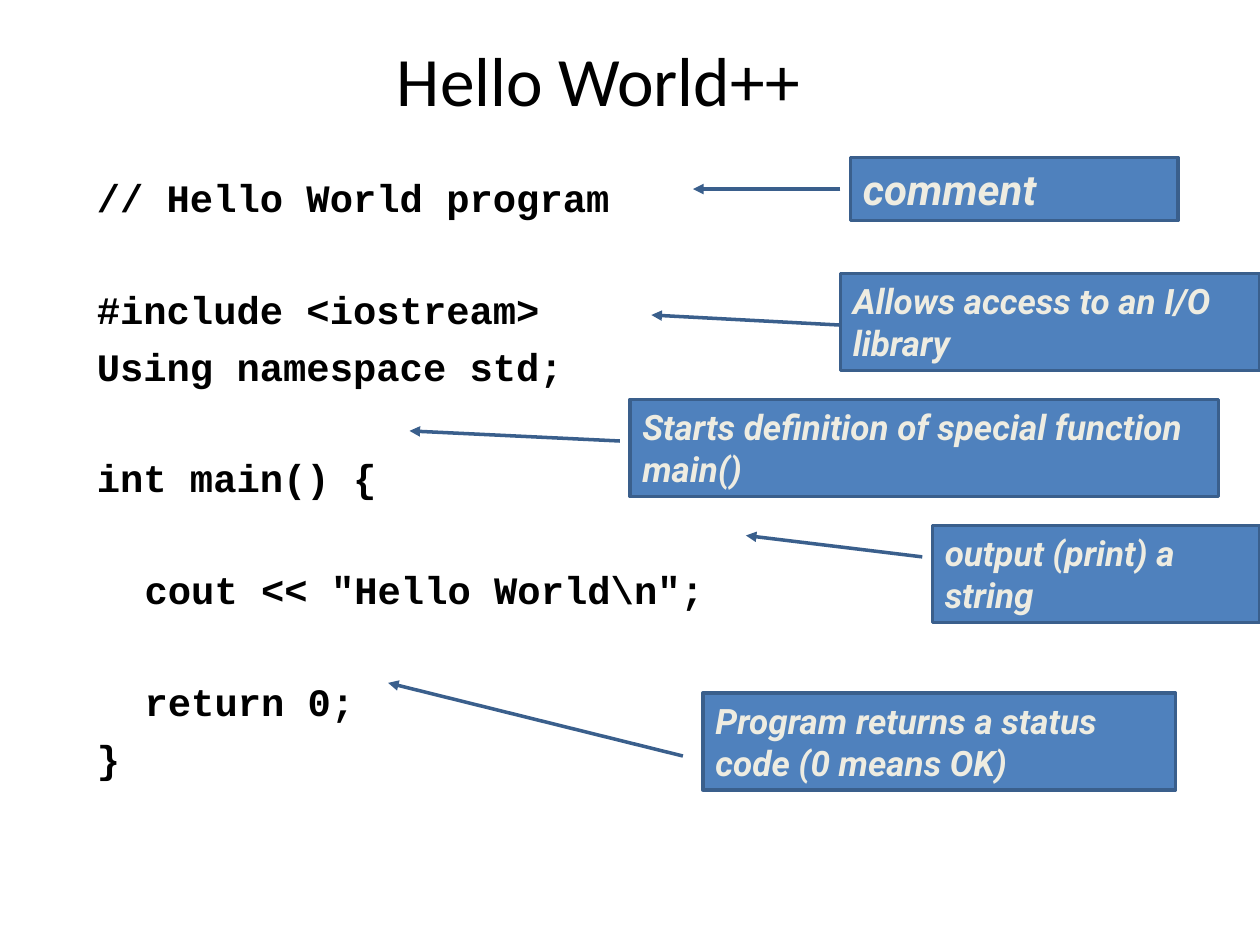
import dataclasses

import pptx
import pptx.dml.color
import pptx.enum.shapes
import pptx.enum.text
import pptx.oxml
import pptx.oxml.ns
import pptx.util
from pptx.util import Inches

ALIGN = pptx.enum.text.PP_ALIGN
ANCHOR = pptx.enum.text.MSO_ANCHOR


@dataclasses.dataclass(frozen=True)
class Theme:
    black: str = "000000"
    box: str = "4F81BD"
    edge: str = "3A5F8C"
    cream: str = "EEECE1"
    title_font: str = "Calibri"
    code_font: str = "Courier New"
    note_font: str = "Roboto"
    title_size: float = 39.6
    code_size: float = 22.2
    note_size: float = 20
    big_note_size: float = 24
    edge_width: float = 2
    code_gap: float = 6       # space before a code line
    blank_line: float = 31.1  # height of a skipped code line


THEME = Theme()

# (code, follows a skipped line)
CODE = [
    ("// Hello World program", False),
    ("#include <iostream>", True),
    ("Using namespace std;", False),
    ("int main() {", True),
    ("\tcout << \"Hello World\\n\";", True),
    ("\treturn 0;", True),
    ("}", False),
]

# (text, size, box, arrow start, arrow end)
NOTES = [
    ("comment", THEME.big_note_size,
     (6.75, 1.25, 2.6, 0.5), (6.67, 1.5), (5.5, 1.5)),
    ("Allows access to an I/O library", THEME.note_size,
     (6.67, 2.17, 3.33, 0.77), (6.67, 2.58), (5.17, 2.5)),
    ("output (print) a string", THEME.note_size,
     (7.4, 4.17, 2.6, 0.77), (7.32, 4.42), (5.92, 4.25)),
    ("Program returns a status code (0 means OK)", THEME.note_size,
     (5.58, 5.5, 3.75, 0.77), (5.42, 6), (3.08, 5.42)),
    ("Starts definition of special function main()", THEME.note_size,
     (5, 3.17, 4.67, 0.77), (4.92, 3.5), (3.25, 3.42)),
]


def rgb(color):
    return pptx.dml.color.RGBColor.from_string(color)


def write(p, text, *, font, size, color, bold=False, italic=False,
          align=ALIGN.LEFT, before=0):
    p.alignment = align
    p.space_before = pptx.util.Pt(before)
    r = p.add_run()
    r.text = text
    r.font.name = font
    r.font.size = pptx.util.Pt(size)
    r.font.bold = bold
    r.font.italic = italic
    r.font.color.rgb = rgb(color)


def set_edge(line):
    line.color.rgb = rgb(THEME.edge)
    line.width = pptx.util.Pt(THEME.edge_width)


def add_title(s, text):
    sp = s.shapes.title
    sp.left, sp.top, sp.width, sp.height = map(Inches, (0.5, 0.25, 8.5, 0.75))
    tf = sp.text_frame
    tf.vertical_anchor = ANCHOR.MIDDLE
    write(tf.paragraphs[0], text, font=THEME.title_font,
          size=THEME.title_size, color=THEME.black, align=ALIGN.CENTER)


def add_code(s, lines):
    """Add the listing; a hanging indent makes a leading tab stop at it."""
    sp = s.shapes.add_textbox(*map(Inches, (0.67, 1.25, 8.5, 4.5)))
    tf = sp.text_frame
    tf.word_wrap = True
    tf.margin_top = Inches(0.13)
    for i, (text, skip) in enumerate(lines):
        p = tf.add_paragraph() if i else tf.paragraphs[0]
        pPr = p._p.get_or_add_pPr()
        pPr.set("marL", str(Inches(0.38)))
        pPr.set("indent", str(-Inches(0.38)))
        before = THEME.code_gap + skip * THEME.blank_line if i else 0
        write(p, text, font=THEME.code_font, size=THEME.code_size,
              color=THEME.black, bold=True, before=before)


def add_note(s, text, size, box):
    sp = s.shapes.add_shape(pptx.enum.shapes.MSO_SHAPE.RECTANGLE,
                            *map(Inches, box))
    sp.shadow.inherit = False
    sp.fill.solid()
    sp.fill.fore_color.rgb = rgb(THEME.box)
    set_edge(sp.line)
    tf = sp.text_frame
    tf.word_wrap = True
    tf.auto_size = pptx.enum.text.MSO_AUTO_SIZE.SHAPE_TO_FIT_TEXT
    tf.vertical_anchor = ANCHOR.TOP
    write(tf.paragraphs[0], text, font=THEME.note_font, size=size,
          color=THEME.cream, bold=True, italic=True)


def add_arrow(s, start, end):
    cn = s.shapes.add_connector(pptx.enum.shapes.MSO_CONNECTOR.STRAIGHT,
                                *map(Inches, start + end))
    set_edge(cn.line)
    tail = pptx.oxml.parse_xml(
        f'<a:tailEnd {pptx.oxml.ns.nsdecls("a")} type="triangle"/>')
    cn.line._get_or_add_ln().append(tail)
    cn._element.spPr.append(pptx.oxml.parse_xml(
        f'<a:effectLst {pptx.oxml.ns.nsdecls("a")}/>'))


def main():
    prs = pptx.Presentation()
    prs.slide_width, prs.slide_height = Inches(10), Inches(7.5)
    s = prs.slides.add_slide(prs.slide_layouts.get_by_name("Title Only"))
    add_title(s, "Hello World++")
    add_code(s, CODE)
    for text, size, box, start, end in NOTES:
        add_note(s, text, size, box)
        add_arrow(s, start, end)
    prs.save("out.pptx")


if __name__ == "__main__":
    main()
